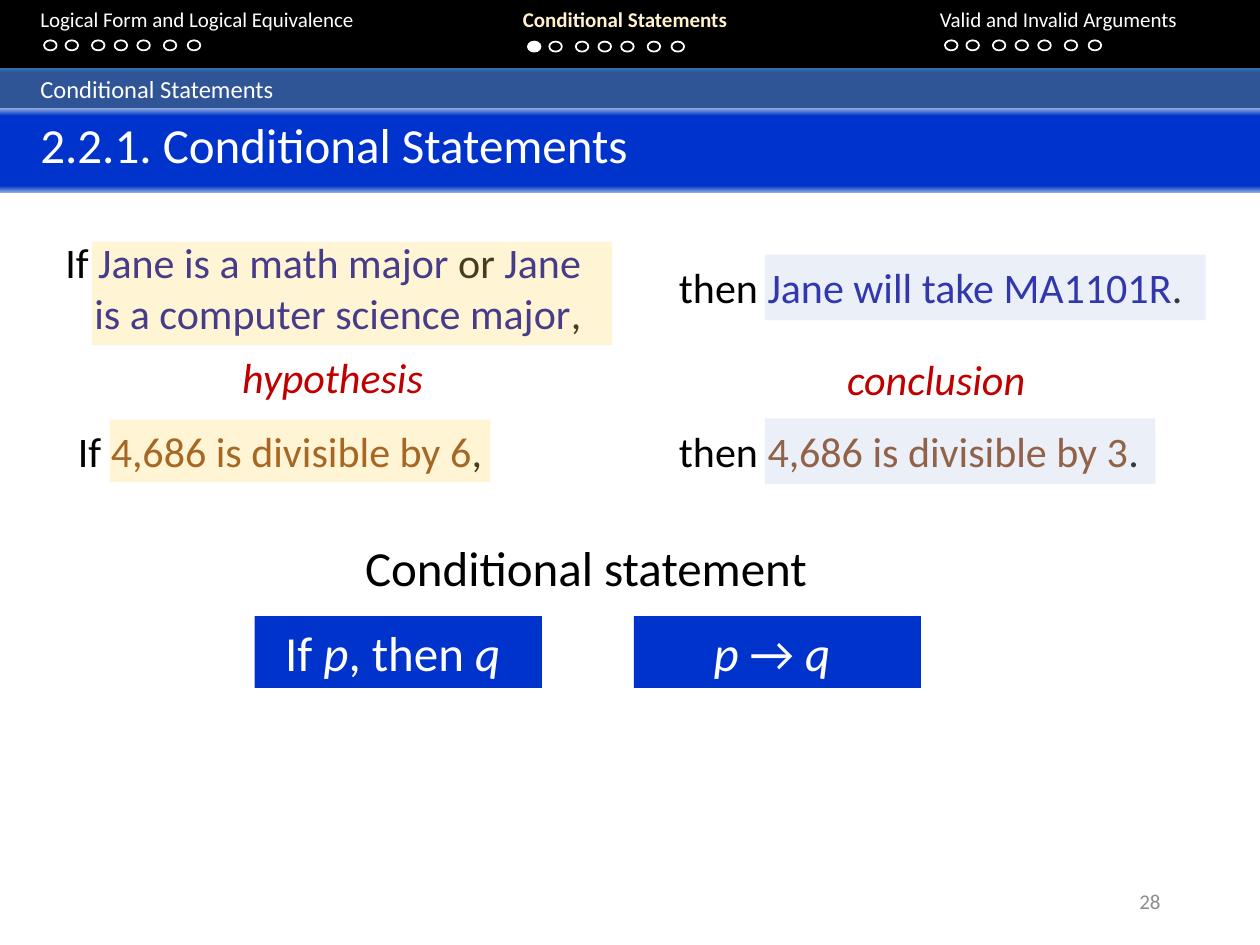
from copy import deepcopy

from pptx import Presentation
from pptx.dml.color import RGBColor
from pptx.enum.shapes import MSO_SHAPE as Preset
from pptx.enum.text import MSO_ANCHOR as Anchor, MSO_AUTO_SIZE as AutoSize, PP_ALIGN as Align
from pptx.oxml.ns import qn
from pptx.oxml.xmlchemy import OxmlElement
from pptx.util import Inches, Pt

WHITE, BLACK = "FFFFFF", "000000"
NAVY, BROWN, RED, BLUE = "000099", "843C0B", "C00000", "0033CC"
YELLOW, PALE_BLUE = "FFD966", "B4C7E7"
DOT_OFFSETS = (0, 0.17, 0.38, 0.56, 0.74, 0.95, 1.14)


def paint(color_format, color):
    color_format.rgb = RGBColor.from_string(color)


def write(frame, paragraphs, size, align=Align.LEFT, color=None):
    frame.word_wrap = True
    for index, spans in enumerate(paragraphs):
        para = frame.add_paragraph() if index else frame.paragraphs[0]
        para.alignment = align
        para.font.size = Pt(size)
        para.font.name = "Calibri"
        if color:
            paint(para.font.color, color)
        for text, style in spans:
            span = para.add_run()
            span.text = text
            span.font.size = Pt(size)
            span.font.name = "Calibri"
            paint(span.font.color, style.get("color", color or BLACK))
            if "italic" in style:
                span.font.italic = style["italic"]
            if "bold" in style:
                span.font.bold = style["bold"]


def add_text(page, area, paragraphs, size, align=Align.LEFT, color=BLACK):
    box = page.shapes.add_textbox(*map(Inches, area))
    write(box.text_frame, paragraphs, size, align, color)
    box.text_frame.auto_size = AutoSize.SHAPE_TO_FIT_TEXT
    return box


def add_block(page, area, color=None, preset=Preset.RECTANGLE):
    block = page.shapes.add_shape(preset, *map(Inches, area))
    block.shadow.inherit = False
    block.line.fill.background()
    if color:
        block.fill.solid()
        paint(block.fill.fore_color, color)
    else:
        block.fill.background()
    return block


def add_highlight(page, area, color):
    block = add_block(page, area, color)
    alpha = OxmlElement("a:alpha")
    alpha.set("val", "28000")
    block.fill._xPr.find(".//" + qn("a:srgbClr")).append(alpha)


def add_bar(page, top, height, stops, text, size):
    bar = add_block(page, (0, top, 10, height))
    bar.fill.gradient()
    bar.fill.gradient_angle = 270
    stop_list = bar._element.spPr.find(".//" + qn("a:gsLst"))
    for stop in list(stop_list)[:2]:
        stop_list.append(deepcopy(stop))
    for stop, (position, color) in zip(bar.fill.gradient_stops, stops):
        stop.position = position
        paint(stop.color, color)
    bar.text_frame.margin_left = Inches(0.32)
    bar.text_frame.vertical_anchor = Anchor.TOP
    write(bar.text_frame, [[(text, {})]], size, color=WHITE)


def add_dots(page, left, top, active=False):
    for index, offset in enumerate(DOT_OFFSETS):
        color = WHITE if active and index == 0 else None
        dot = add_block(page, (left + offset, top, 0.1, 0.08), color, Preset.OVAL)
        paint(dot.line.color, WHITE)
        dot.line.width = Pt(1)


def add_formula(page, left, spans):
    block = add_block(page, (left, 4.89, 2.28, 0.57), BLUE)
    write(block.text_frame, [spans], 28, Align.CENTER, WHITE)


def add_navigation(page):
    add_block(page, (0, -0.02, 10, 0.56), BLACK)
    box = page.shapes.add_textbox(0, 0, Inches(10), Inches(0.5))
    box.text_frame.margin_left = Inches(0.32)
    write(box.text_frame, [[
        ("Logical Form and Logical Equivalence\t", {}),
        ("Conditional Statements", {"color": "FFF2CC", "bold": True}),
        ("\tValid and Invalid Arguments", {}),
    ]], 12, color=WHITE)
    tabs = OxmlElement("a:tabLst")
    for position in (3.83, 7.14):
        tab = OxmlElement("a:tab")
        tab.set("pos", str(Inches(position)))
        tab.set("algn", "l")
        tabs.append(tab)
    properties = box.text_frame.paragraphs[0]._p.get_or_add_pPr()
    properties.insert_element_before(tabs, "a:defRPr", "a:extLst")
    add_dots(page, 0.35, 0.32)
    add_dots(page, 4.19, 0.33, active=True)
    add_dots(page, 7.5, 0.32)


def add_examples(page):
    math_major = add_text(page, (0.42, 1.83, 4.44, 0.91), [
        [("If ", {}), ("Jane is a math major ", {"color": NAVY}),
         ("or ", {}), ("Jane", {"color": NAVY})],
        [("is a computer science major", {"color": NAVY}), (", ", {})],
    ], 24)
    second_line = math_major.text_frame.paragraphs[1]
    second_line._p.get_or_add_pPr().set("marL", str(Inches(0.23)))
    for area, opening, claim, color, ending in (
        ((0.52, 3.33, 3.6, 0.5), "If ", "4,686 is divisible by 6", BROWN, ", "),
        ((5.29, 2.03, 4.27, 0.5), "then ", "Jane will take MA1101R", NAVY, "."),
        ((5.29, 3.33, 4.04, 0.5), "then ", "4,686 is divisible by 3", BROWN, "."),
    ):
        add_text(page, area, [[(opening, {}), (claim, {"color": color}), (ending, {})]], 24)
    for area, color in (
        ((0.73, 1.92, 4.13, 0.82), YELLOW),
        ((0.87, 3.33, 3.02, 0.5), YELLOW),
        ((6.07, 2.02, 3.5, 0.52), PALE_BLUE),
        ((6.07, 3.32, 3.1, 0.52), PALE_BLUE),
    ):
        add_highlight(page, area, color)
    for left, top, label in ((1.69, 2.74, "hypothesis"), (6.48, 2.76, "conclusion")):
        add_text(page, (left, top, 1.9, 0.5), [[(label, {"italic": True})]],
                 24, Align.CENTER, RED)


def main():
    deck = Presentation()
    deck.slide_width, deck.slide_height = Inches(10), Inches(7.5)
    page = deck.slides.add_slide(deck.slide_layouts[6])
    add_navigation(page)
    add_bar(page, 0.54, 0.36,
            ((0, "2E75B6"), (0.11, "2F5597"), (0.91, "2F5597"), (1, "2E75B6")),
            "Conditional Statements", 14)
    add_bar(page, 0.86, 0.67,
            ((0, "8FAADC"), (0.09, BLUE), (0.92, BLUE), (1, "8FAADC")),
            "2.2.1. Conditional Statements", 28)
    add_examples(page)
    add_text(page, (2.59, 4.22, 4.12, 0.57), [[("Conditional statement", {})]],
             28, Align.CENTER)
    italic = {"italic": True}
    add_formula(page, 2.02, [("If ", {}), ("p", italic), (", then ", {}), ("q ", italic)])
    add_formula(page, 5.03, [("p ", italic), ("→ ", {}), ("q ", italic)])
    number = add_text(page, (7.06, 6.95, 2.25, 0.4), [[("28", {})]], 12, Align.RIGHT, "8C8C8C")
    number.text_frame.auto_size = AutoSize.NONE
    number.text_frame.vertical_anchor = Anchor.MIDDLE
    deck.save("out.pptx")


main()
